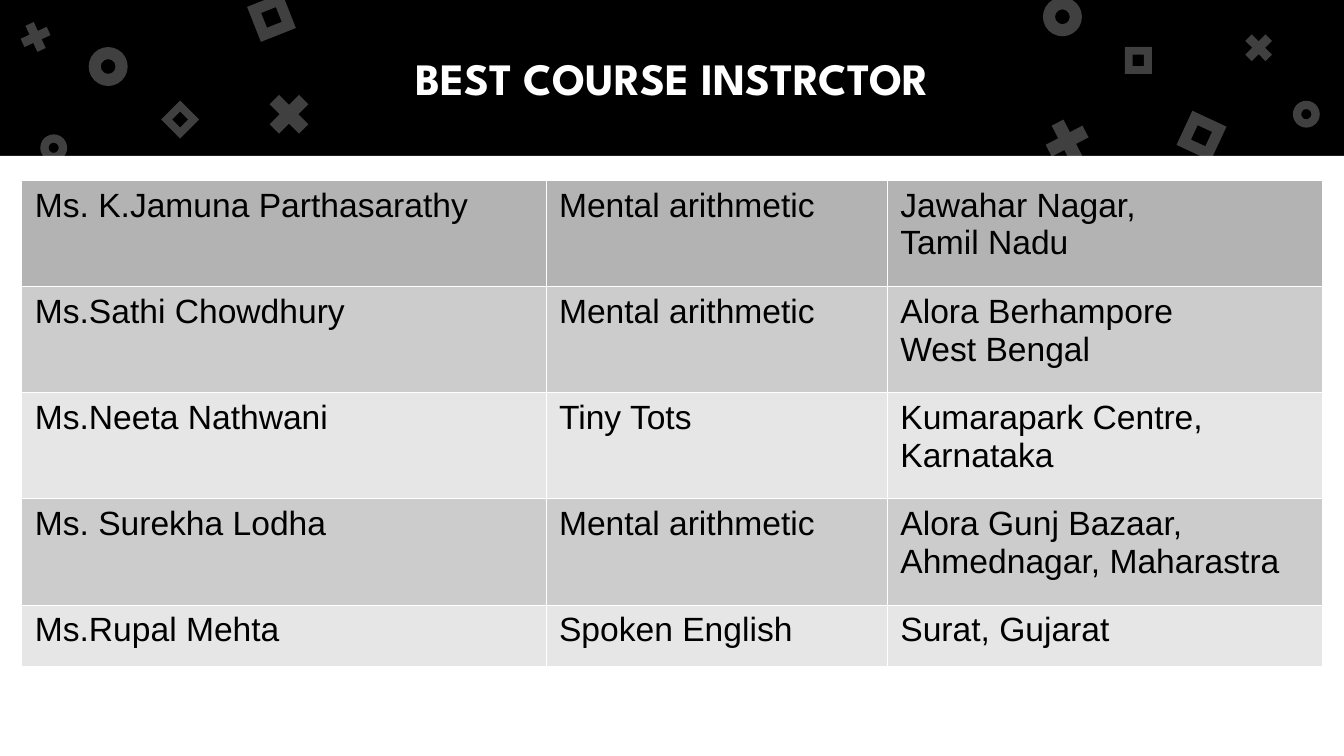
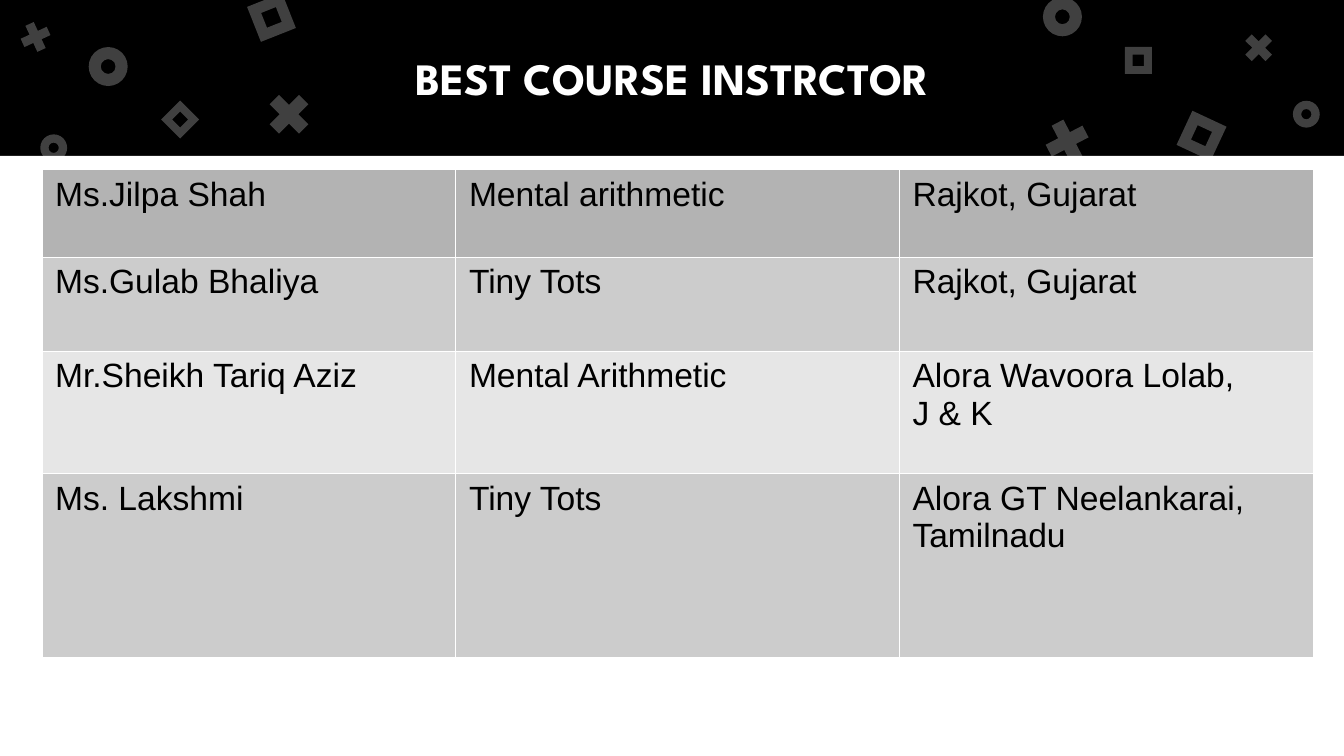
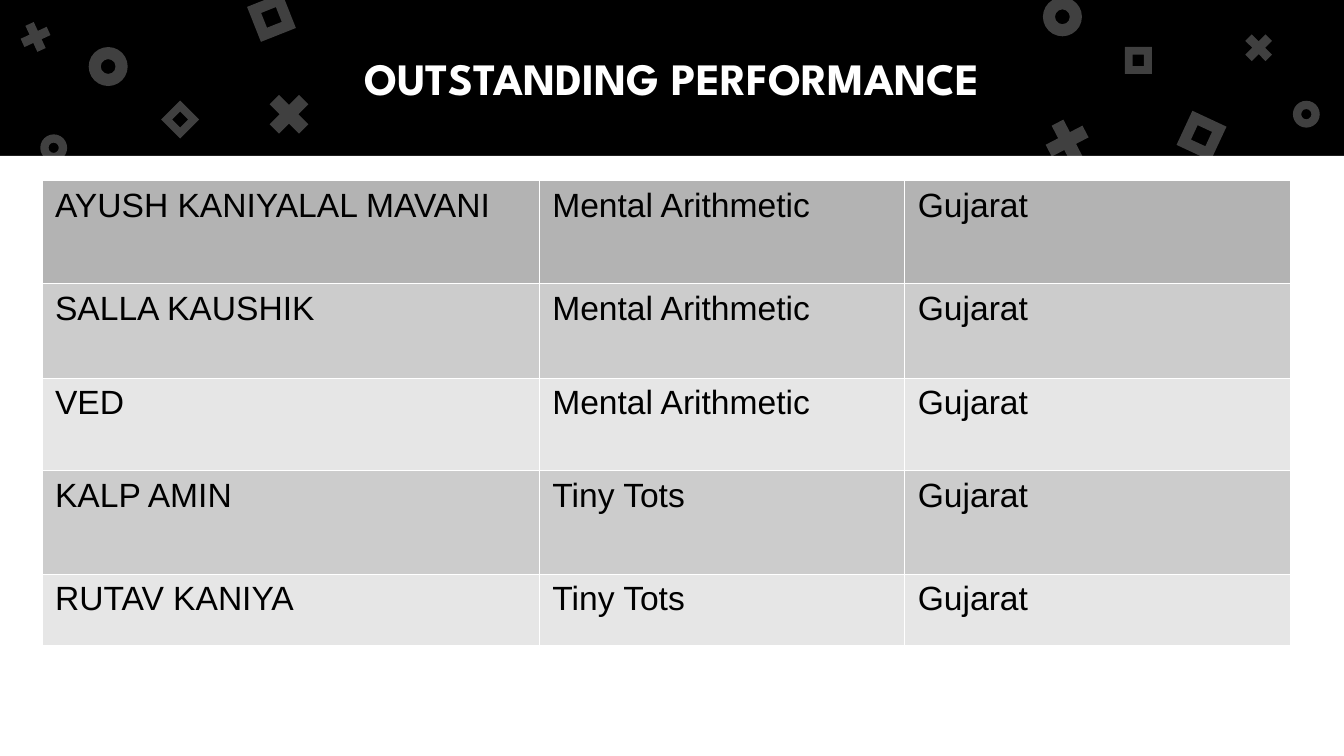
from dataclasses import dataclass

from pptx import Presentation
from pptx.dml.color import RGBColor
from pptx.enum.shapes import MSO_SHAPE as Preset, PP_PLACEHOLDER as Role
from pptx.enum.text import MSO_ANCHOR as Anchor, MSO_AUTO_SIZE as AutoSize, PP_ALIGN as Align
from pptx.oxml import parse_xml
from pptx.oxml.ns import nsdecls, qn
from pptx.oxml.xmlchemy import OxmlElement
from pptx.util import Inches, Pt


@dataclass(frozen=True)
class Theme:
    background: str = "7BD100"
    band: str = "000000"
    panel: str = "FFFFFF"
    ornament: str = "FFFFFF"
    ornament_alpha: int = 25000
    title: str = "FFFFFF"
    text: str = "000000"
    border: str = "FFFFFF"
    header_row: str = "B3B3B3"
    stripes: tuple = ("CCCCCC", "E6E6E6")
    title_font: str = "League Spartan"
    body_font: str = "Arial"
    title_size: int = 24
    body_size: int = 18
    border_width: float = 0.06


THEME = Theme()
WIDTH = 10
HEIGHT = WIDTH * 9 / 16
BAND_HEIGHT = 1.16
TITLE_MARGIN = 0.5

ORNAMENTS = [
    (Preset.DONUT, 0.31, [
        (0.66, 0.35, 0.29, 0), (7.76, -0.02, 0.29, 0), (0.3, 1, 0.2, 0), (9.62, 0.75, 0.2, 0)]),
    (Preset.MATH_MULTIPLY, 0.235, [
        (1.94, 0.64, 0.42, 0), (7.73, 0.84, 0.42, 17.5), (0.12, 0.13, 0.29, 20.4), (9.22, 0.21, 0.29, 0)]),
    (Preset.FRAME, 0.289, [
        (1.88, -0.01, 0.28, 338.4), (8.8, 0.87, 0.28, 25), (1.24, 0.79, 0.2, 45), (8.37, 0.35, 0.2, 0)]),
]

SLIDES = [
    {
        "title": "BEST COURSE INSTRCTOR",
        "corner": (0.16, 1.34),
        "columns": (3.9, 2.54, 3.24),
        "heights": (0.79, 0.79, 0.79, 0.79, 0.46),
        "rows": [
            ("Ms. K.Jamuna Parthasarathy", "Mental arithmetic", "Jawahar Nagar,\nTamil Nadu"),
            ("Ms.Sathi Chowdhury", "Mental arithmetic", "Alora Berhampore\nWest Bengal"),
            ("Ms.Neeta Nathwani", "Tiny Tots", "Kumarapark Centre, Karnataka"),
            ("Ms. Surekha Lodha", "Mental arithmetic", "Alora Gunj Bazaar, Ahmednagar, Maharastra"),
            ("Ms.Rupal Mehta", "Spoken English", "Surat, Gujarat"),
        ],
    },
    {
        "title": "BEST COURSE INSTRCTOR",
        "corner": (0.31, 1.26),
        "columns": (3.08, 3.3, 3.08),
        "heights": (0.65, 0.7, 0.91, 1.37),
        "rows": [
            ("Ms.Jilpa Shah", "Mental arithmetic", "Rajkot, Gujarat"),
            ("Ms.Gulab Bhaliya", "Tiny Tots", "Rajkot, Gujarat"),
            ("Mr.Sheikh Tariq Aziz", "Mental Arithmetic", "Alora Wavoora Lolab,\nJ & K"),
            ("Ms. Lakshmi", "Tiny Tots", "Alora GT Neelankarai,\nTamilnadu"),
        ],
    },
    {
        "title": "OUTSTANDING PERFORMANCE",
        "corner": (0.31, 1.34),
        "columns": (3.7, 2.72, 2.87),
        "heights": (0.77, 0.7, 0.69, 0.77, 0.53),
        "rows": [
            ("AYUSH KANIYALAL MAVANI", "Mental Arithmetic", "Gujarat"),
            ("SALLA KAUSHIK", "Mental Arithmetic", "Gujarat"),
            ("VED", "Mental Arithmetic", "Gujarat"),
            ("KALP AMIN", "Tiny Tots", "Gujarat"),
            ("RUTAV KANIYA", "Tiny Tots", "Gujarat"),
        ],
    },
]


def paint(fill, color):
    fill.solid()
    fill.fore_color.rgb = RGBColor.from_string(color)


def style_text(text_frame, font_name, size, color, bold, alignment):
    for paragraph in text_frame.paragraphs:
        paragraph.alignment = alignment
        for run in paragraph.runs:
            run.font.name = font_name
            run.font.size = Pt(size)
            run.font.bold = bold
            run.font.color.rgb = RGBColor.from_string(color)


def add_plain_shape(slide, preset, left, top, width, height, color):
    shape = slide.shapes.add_shape(preset, Inches(left), Inches(top), Inches(width), Inches(height))
    shape.shadow.inherit = False
    paint(shape.fill, color)
    shape.line.fill.background()
    return shape


def add_ornament(slide, preset, adjustment, left, top, size, rotation):
    shape = add_plain_shape(slide, preset, left, top, size, size, THEME.ornament)
    shape.adjustments[0] = adjustment
    shape.rotation = rotation
    alpha = OxmlElement("a:alpha")
    alpha.set("val", str(THEME.ornament_alpha))
    shape.element.spPr.find(f"{qn('a:solidFill')}/{qn('a:srgbClr')}").append(alpha)
    return shape


def place_title(title):
    title.left, title.top = Inches(TITLE_MARGIN), Inches(0)
    title.width, title.height = Inches(WIDTH - 2 * TITLE_MARGIN), Inches(BAND_HEIGHT)


def furnish_layout(layout, slide):
    paint(layout.background.fill, THEME.background)
    for placeholder in list(layout.placeholders):
        if placeholder.placeholder_format.type == Role.TITLE:
            place_title(placeholder)
        else:
            layout.shapes.element.remove(placeholder.element)

    shapes = [
        add_plain_shape(slide, Preset.RECTANGLE, 0, 0, WIDTH, BAND_HEIGHT, THEME.band),
        add_plain_shape(slide, Preset.RECTANGLE, 0, BAND_HEIGHT, WIDTH, HEIGHT - BAND_HEIGHT, THEME.panel),
    ]
    for preset, adjustment, places in ORNAMENTS:
        shapes += [add_ornament(slide, preset, adjustment, *place) for place in places]
    for position, shape in enumerate(shapes):
        shape.element.nvSpPr.cNvPr.id = 100 + position
        layout.shapes.element.insert(2 + position, shape.element)


def write_title(slide, text):
    title = slide.shapes.title
    place_title(title)
    frame = title.text_frame
    frame.text = text
    frame.word_wrap = True
    frame.auto_size = AutoSize.NONE
    frame.vertical_anchor = Anchor.MIDDLE
    frame.margin_left = frame.margin_right = frame.margin_top = frame.margin_bottom = Inches(0.1)
    style_text(frame, THEME.title_font, THEME.title_size, THEME.title, True, Align.CENTER)


def add_borders(cell):
    properties = cell._tc.get_or_add_tcPr()
    for position, side in enumerate(("lnL", "lnR", "lnT", "lnB")):
        properties.insert(position, parse_xml(
            f'<a:{side} {nsdecls("a")} w="{Pt(THEME.border_width)}"><a:solidFill>'
            f'<a:srgbClr val="{THEME.border}"/></a:solidFill></a:{side}>'))


def add_award_table(slide, corner, columns, heights, rows):
    left, top = corner
    table = slide.shapes.add_table(
        len(rows), len(columns), Inches(left), Inches(top), Inches(sum(columns)), Inches(sum(heights))).table
    for column, width in zip(table.columns, columns):
        column.width = Inches(width)
    for index, (row, height, values) in enumerate(zip(table.rows, heights, rows)):
        row.height = Inches(height)
        color = THEME.stripes[(index - 1) % 2] if index else THEME.header_row
        for cell, value in zip(row.cells, values):
            cell.text_frame.text = value
            style_text(cell.text_frame, THEME.body_font, THEME.body_size, THEME.text, False, Align.LEFT)
            paint(cell.fill, color)
            add_borders(cell)


def main():
    presentation = Presentation()
    presentation.slide_width, presentation.slide_height = Inches(WIDTH), Inches(HEIGHT)
    layout = presentation.slide_layouts[5]
    slides = [presentation.slides.add_slide(layout) for _ in SLIDES]
    furnish_layout(layout, slides[0])
    for slide, content in zip(slides, SLIDES):
        write_title(slide, content["title"])
        add_award_table(slide, content["corner"], content["columns"], content["heights"], content["rows"])
    presentation.save("out.pptx")


if __name__ == "__main__":
    main()
